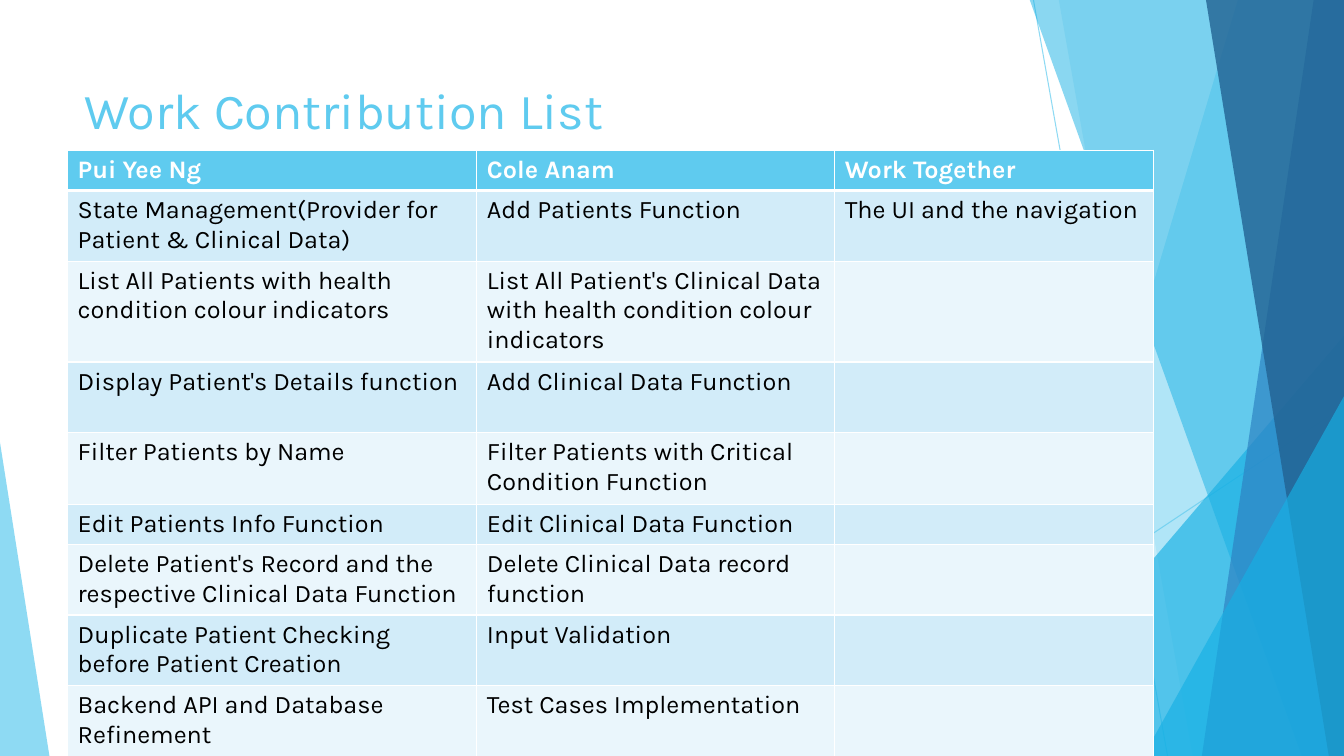
from lxml import etree
from pptx import Presentation
from pptx.dml.color import RGBColor
from pptx.enum.shapes import MSO_CONNECTOR, MSO_SHAPE
from pptx.enum.text import MSO_ANCHOR
from pptx.oxml.ns import qn
from pptx.util import Pt

STRAIGHT = MSO_CONNECTOR.STRAIGHT
TRIANGLE = MSO_SHAPE.ISOSCELES_TRIANGLE
MIDDLE = MSO_ANCHOR.MIDDLE
PX = 9144
WIDTH, HEIGHT = 1333, 750
FONT = "Karla"
COLOURS = {
    "sky": "5FCBEF", "cyan": "17B0E4", "blue": "2E83C3", "navy": "226292",
    "band": "D2ECF9", "pale": "EAF6FC", "white": "FFFFFF", "black": "000000",
}


def paint(shape, colour_format, name, opacity):
    colour_format.rgb = RGBColor.from_string(COLOURS[name])
    colour = next(shape.element.spPr.iter(qn("a:srgbClr")))
    etree.SubElement(colour, qn("a:alpha"), val=str(opacity * 1000))


def format_text(text_frame, size, name, bold=False):
    for paragraph in text_frame.paragraphs:
        for run in paragraph.runs:
            run.font.name = FONT
            run.font.size = Pt(size)
            run.font.bold = bold
            run.font.color.rgb = RGBColor.from_string(COLOURS[name])


presentation = Presentation()
presentation.slide_width = WIDTH * PX
presentation.slide_height = HEIGHT * PX
slide = presentation.slides.add_slide(presentation.slide_layouts[6])
shapes = slide.shapes

for line_ends in [(1025, 0, 1158, 750), (1333, 403, 812, 750)]:
    connector = shapes.add_connector(STRAIGHT, *[value * PX for value in line_ends])
    connector.line.width = Pt(0.75)
    paint(connector, connector.line.color, "sky", 70)
    etree.SubElement(connector.element.spPr, qn("a:effectLst"))

facets = [
    ("sky", 36, "slab", (1228, 1004)),
    ("sky", 20, "slab", (1050, 1183)),
    ("cyan", 66, "triangle", (977, 333, 356, 417, 1)),
    ("cyan", 50, "slab", (1021, 1291)),
    ("blue", 70, "slab", (1303, 1192)),
    ("navy", 80, "slab", (1196, 1318)),
    ("cyan", 66, "triangle", (1134, 393, 199, 357, 1)),
    ("sky", 70, "triangle", (0, 439, 49, 311, 0)),
]
for name, opacity, kind, geometry in facets:
    if kind == "slab":
        top_x, bottom_x = geometry
        builder = shapes.build_freeform(top_x, -1, scale=PX)
        builder.add_line_segments([(WIDTH, -1), (WIDTH, HEIGHT), (bottom_x, HEIGHT)])
        facet = builder.convert_to_shape()
    else:
        *box, lean = geometry
        facet = shapes.add_shape(TRIANGLE, *[value * PX for value in box])
        facet.adjustments[0] = lean
    facet.shadow.inherit = False
    facet.fill.solid()
    paint(facet, facet.fill.fore_color, name, opacity)
    facet.line.fill.background()

title = shapes.add_textbox(74 * PX, 67 * PX, 941 * PX, 82 * PX)
title.text_frame.word_wrap = True
title.text_frame.vertical_anchor = MIDDLE
title.text_frame.text = "Work Contribution List"
format_text(title.text_frame, 36, "sky")

rows = [
    ("Pui Yee Ng", "Cole Anam", "Work Together"),
    ("State Management(Provider for Patient & Clinical Data)",
     "Add Patients Function", "The UI and the navigation"),
    ("List All Patients with health condition colour indicators",
     "List All Patient's Clinical Data with health condition colour indicators", ""),
    ("Display Patient's Details function", "Add Clinical Data Function", ""),
    ("Filter Patients by Name", "Filter Patients with Critical Condition Function", ""),
    ("Edit Patients Info Function", "Edit Clinical Data Function", ""),
    ("Delete Patient's Record and the respective Clinical Data Function",
     "Delete Clinical Data record function", ""),
    ("Duplicate Patient Checking before Patient Creation", "Input Validation", ""),
    ("Backend API and Database Refinement", "Test Cases Implementation", ""),
]
column_widths = [406, 355, 316]
row_heights = [40, 69, 98, 70, 71, 40, 70, 70, 69]
table = shapes.add_table(len(rows), len(column_widths), 67 * PX, 149 * PX,
                         sum(column_widths) * PX, sum(row_heights) * PX).table
for column, width in zip(table.columns, column_widths):
    column.width = width * PX
for row, height in zip(table.rows, row_heights):
    row.height = height * PX

for row_index, texts in enumerate(rows):
    header = row_index == 0
    fill_name = "sky" if header else ("pale", "band")[row_index % 2]
    border_widths = {
        "a:lnL": 1, "a:lnR": 1,
        "a:lnT": 3 if row_index == 1 else 1,
        "a:lnB": 3 if header else 1,
    }
    for column_index, text in enumerate(texts):
        cell = table.cell(row_index, column_index)
        cell.text_frame.text = text
        format_text(cell.text_frame, 18, "white" if header else "black", header)
        properties = cell._tc.get_or_add_tcPr()
        for tag, width in border_widths.items():
            border = etree.SubElement(properties, qn(tag), w=str(Pt(width)))
            border_fill = etree.SubElement(border, qn("a:solidFill"))
            etree.SubElement(border_fill, qn("a:srgbClr"), val=COLOURS["white"])
        cell.fill.solid()
        cell.fill.fore_color.rgb = RGBColor.from_string(COLOURS[fill_name])

presentation.save("out.pptx")
